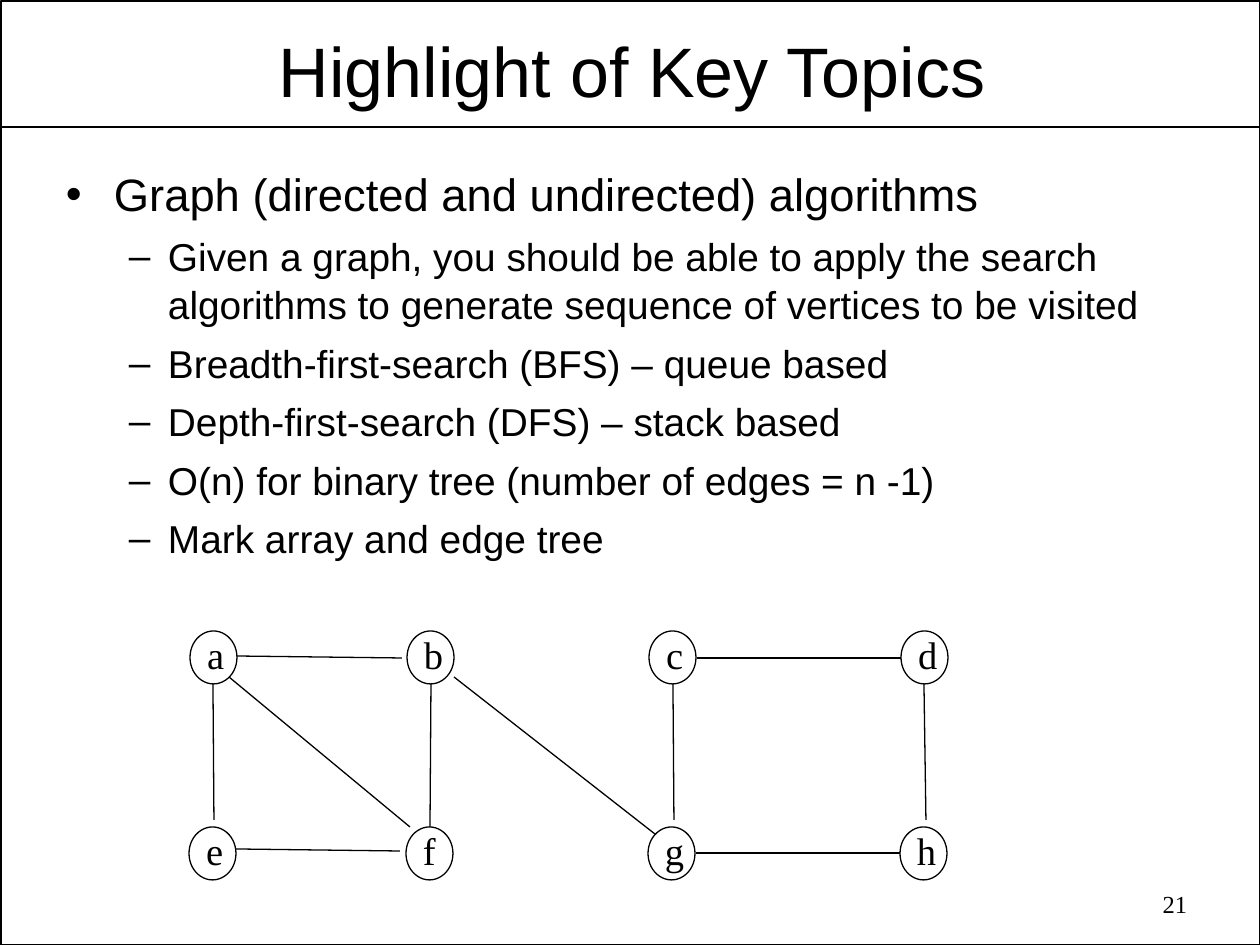
from lxml.etree import SubElement
from pptx import Presentation
from pptx.dml.color import RGBColor
from pptx.enum.shapes import MSO_CONNECTOR as Connector, MSO_SHAPE as Shape
from pptx.enum.text import MSO_ANCHOR as Anchor, MSO_AUTO_SIZE as AutoSize, PP_ALIGN as Align
from pptx.oxml.ns import qn
from pptx.util import Emu, Pt

BLACK = RGBColor(0x00, 0x00, 0x00)
WHITE = RGBColor(0xFF, 0xFF, 0xFF)
PX = 914400 / 126
SANS, SERIF = "Arial", "Times New Roman"

# Text size, space before, left margin (px) and hanging indent (px) by level
LEVELS = [
    {"mark": "•", "size": 25.9, "before": 7, "margin": 48, "hang": 48},
    {"mark": "–", "size": 22.2, "before": 6, "margin": 102, "hang": 39},
]
POINTS = [
    (0, "Graph (directed and undirected) algorithms"),
    (1, "Given a graph, you should be able to apply the search "
        "algorithms to generate sequence of vertices to be visited"),
    (1, "Breadth-first-search (BFS) – queue based"),
    (1, "Depth-first-search (DFS) – stack based"),
    (1, "O(n) for binary tree (number of edges = n -1)"),
    (1, "Mark array and edge tree"),
]

# Graph: vertices in two rows over shared columns, the lower row 1 px to the left
COLUMNS = (190, 407, 649, 901)
ROWS = ((631, 0, "abcd"), (827, -1, "efgh"))
EDGES = {
    "ab": (237, 656, 402, 658),
    "ef": (236, 849, 400, 851),
    "ea": (214, 820, 213, 684),
    "af": (229, 677, 410, 827),
    "fb": (430, 827, 431, 684),
    "bg": (454, 677, 655, 834),
    "cd": (697, 658, 901, 658),
    "hd": (926, 820, 924, 684),
    "gh": (696, 853, 900, 853),
    "cg": (673, 684, 674, 820),
}


def emu(px):
    return Emu(round(px * PX))


class Page:
    def __init__(self, deck):
        self.slide = deck.slides.add_slide(deck.slide_layouts[5])
        self.shapes = self.slide.shapes
        background = self.slide.background.fill
        background.solid()
        background.fore_color.rgb = WHITE

    def apply(self, target, values):
        for name, value in values.items():
            setattr(target, name, value)

    def frame(self, item, inset_x, inset_y, **values):
        insets = {"margin_left": emu(inset_x), "margin_right": emu(inset_x),
                  "margin_top": emu(inset_y), "margin_bottom": emu(inset_y)}
        self.apply(item.text_frame, {**insets, **values})
        return item.text_frame

    def add_span(self, para, text, size, font, align=Align.LEFT):
        para.alignment = align
        span = para.add_run()
        span.text = text
        self.apply(span.font, {"size": Pt(size), "name": font, "bold": False})
        span.font.color.rgb = BLACK

    def title(self, text, left, top, width, height):
        box = self.shapes.title
        self.apply(box, {"left": emu(left), "top": emu(top),
                         "width": emu(width), "height": emu(height)})
        frame = self.frame(box, 9, 4, word_wrap=True, auto_size=AutoSize.NONE,
                           vertical_anchor=Anchor.MIDDLE)
        self.add_span(frame.paragraphs[0], text, 40, SANS, Align.CENTER)

    def text(self, text, left, top, width, height, size, align=Align.LEFT, wrap=True):
        box = self.shapes.add_textbox(*map(emu, (left, top, width, height)))
        frame = self.frame(box, 13, 6, word_wrap=wrap)
        self.add_span(frame.paragraphs[0], text, size, SERIF, align)

    def bullets(self, points, left, top, width, height):
        box = self.shapes.add_textbox(*map(emu, (left, top, width, height)))
        frame = self.frame(box, 13, 6, word_wrap=True)
        for index, (level, text) in enumerate(points):
            style = LEVELS[level]
            para = frame.add_paragraph() if index else frame.paragraphs[0]
            self.apply(para, {"level": level, "line_spacing": 1.03,
                              "space_before": Pt(style["before"])})
            self.add_span(para, text, style["size"], SANS)
            props = para._p.get_or_add_pPr()
            props.set("marL", str(emu(style["margin"])))
            props.set("indent", str(-emu(style["hang"])))
            colour = SubElement(props, qn("a:buClr"))
            SubElement(colour, qn("a:srgbClr"), val=str(BLACK))
            SubElement(props, qn("a:buFont"), typeface=SANS)
            SubElement(props, qn("a:buChar"), char=style["mark"])

    def outline(self, kind, left, top, width, height, weight):
        shape = self.shapes.add_shape(kind, *map(emu, (left, top, width, height)))
        shape.shadow.inherit = False
        shape.fill.background()
        shape.line.color.rgb = BLACK
        shape.line.width = Pt(weight)

    def line(self, start_x, start_y, end_x, end_y, weight):
        ends = map(emu, (start_x, start_y, end_x, end_y))
        line = self.shapes.add_connector(Connector.STRAIGHT, *ends)
        line.line.color.rgb = BLACK
        line.line.width = Pt(weight)
        SubElement(line._element.spPr, qn("a:effectLst"))

    def vertex(self, name, left, top):
        self.outline(Shape.OVAL, left, top, 47, 53, 0.75)
        self.text(name, left + 4, top - 6, 43, 59, 22, wrap=False)


def main():
    deck = Presentation()
    deck.slide_width, deck.slide_height = emu(1260), emu(945)
    page = Page(deck)

    # Page frame and rule under the title
    page.outline(Shape.RECTANGLE, 1, 1, 1259, 944, 1)
    page.line(1, 127, 1259, 127, 1)

    # Title and key points
    page.title("Highlight of Key Topics", 67, 24, 1130, 91)
    page.bullets(POINTS, 53, 159, 1155, 408)

    # Example graph
    for top, shift, names in ROWS:
        for left, name in zip(COLUMNS, names):
            page.vertex(name, left + shift, top)
    for ends in EDGES.values():
        page.line(*ends, 0.75)

    # Page number
    page.text("21", 905, 883, 295, 45, 14, Align.RIGHT)

    deck.save("out.pptx")


if __name__ == "__main__":
    main()
